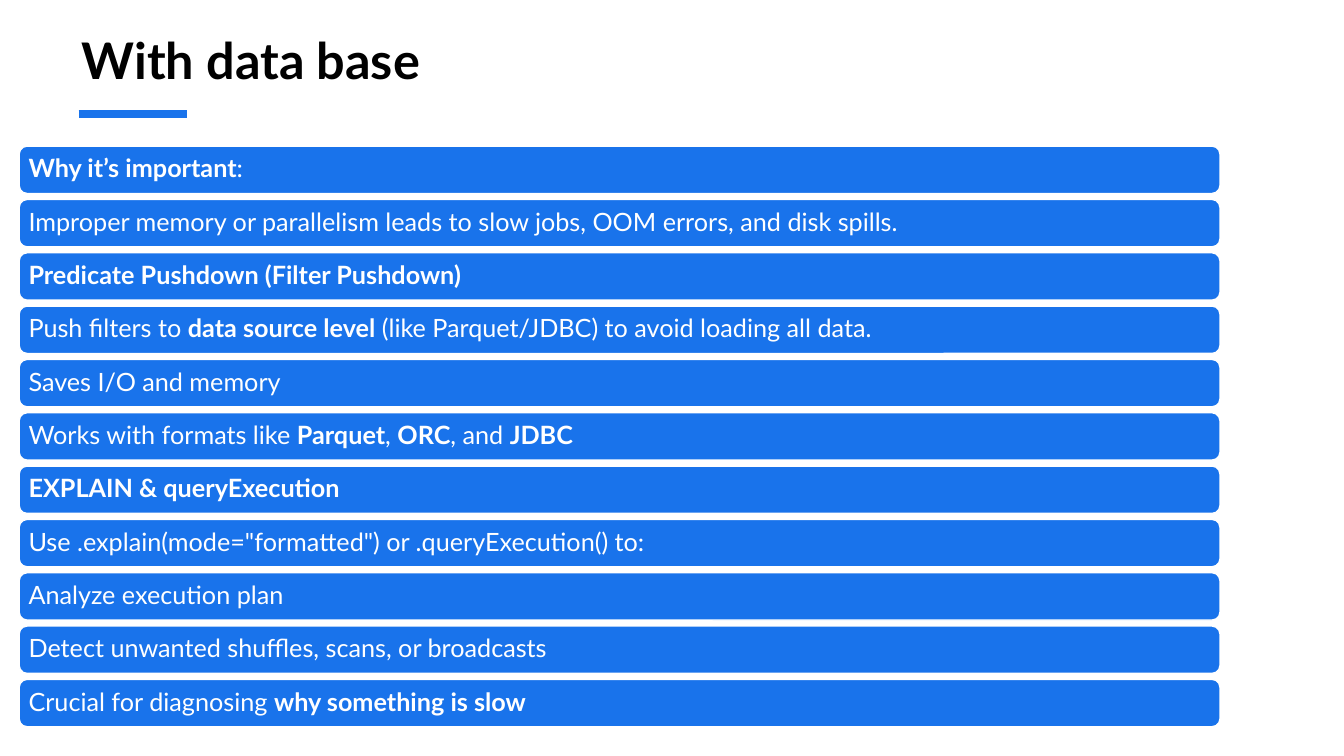
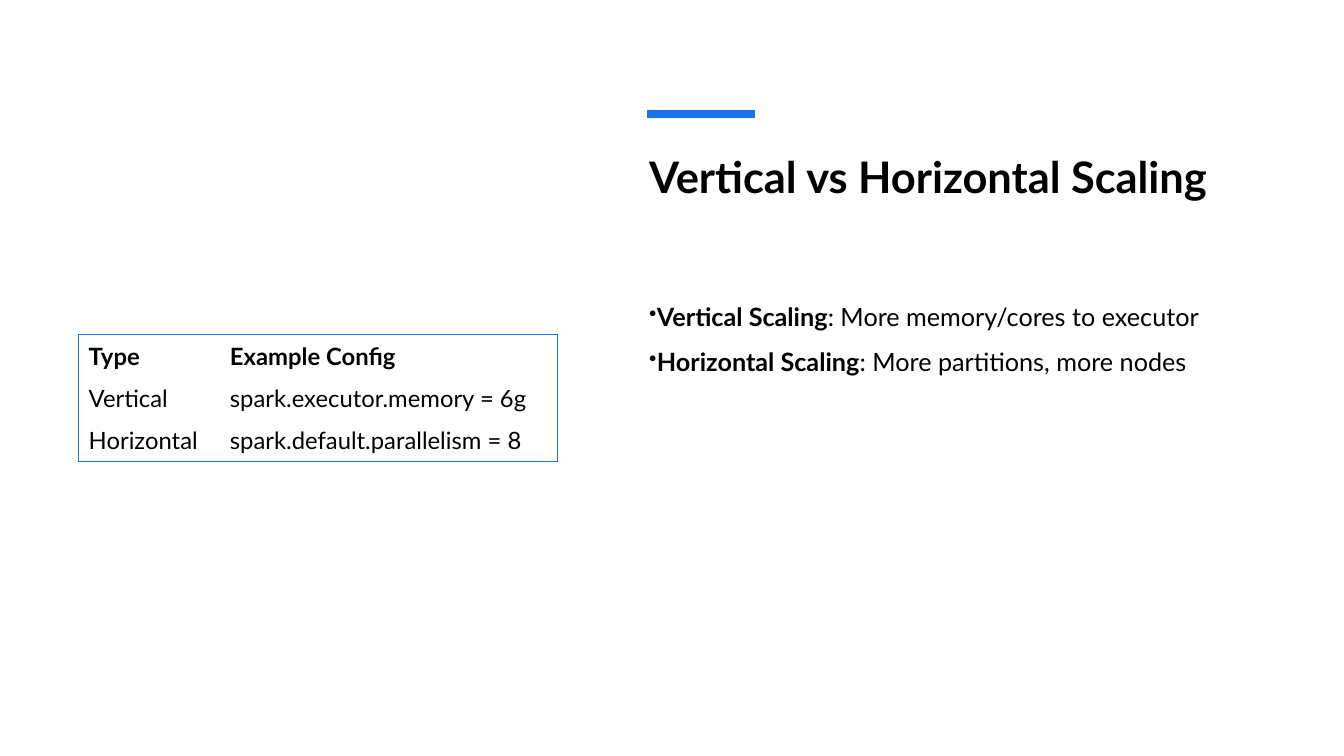
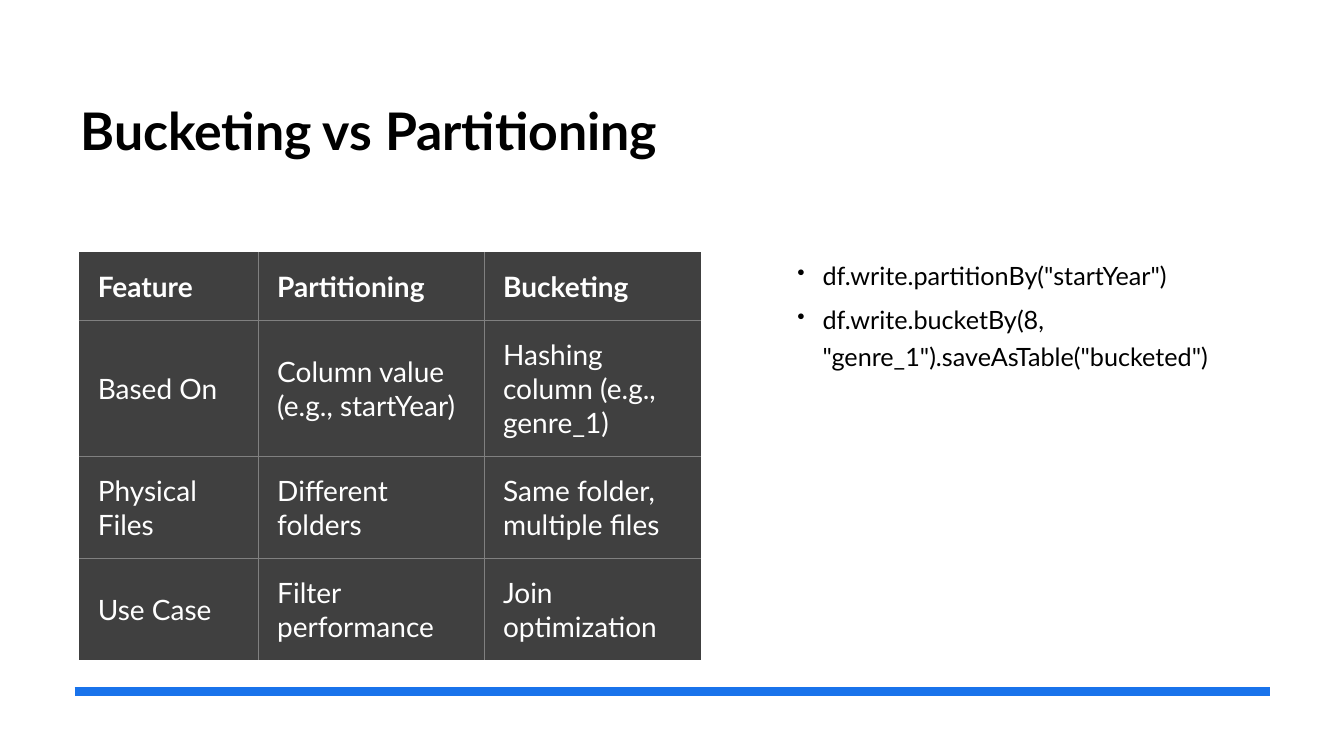
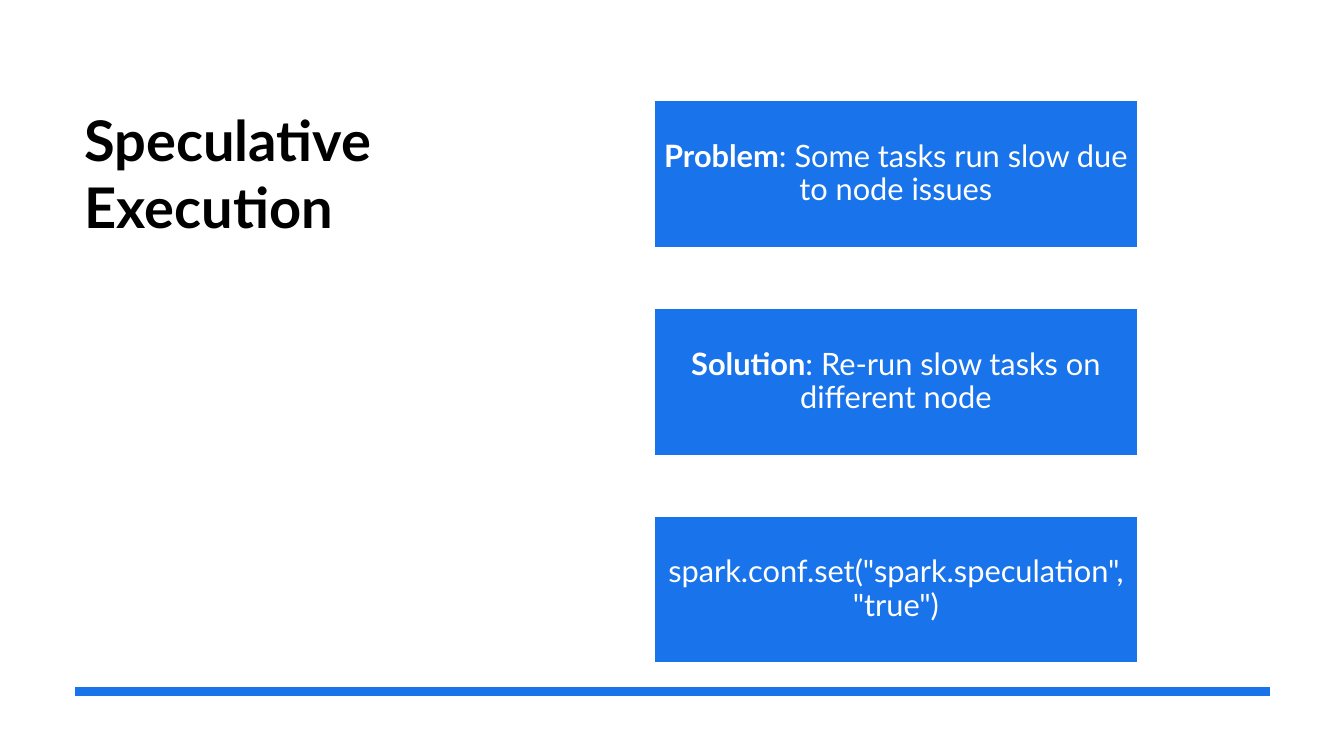
from lxml import etree
from pptx import Presentation
from pptx.dml.color import RGBColor
from pptx.enum.shapes import MSO_CONNECTOR, MSO_SHAPE
from pptx.enum.text import MSO_ANCHOR, PP_ALIGN
from pptx.oxml.ns import qn
from pptx.util import Emu, Pt

SCALE = 9144
FONT = "Lato"
BLUE, WHITE, BLACK = "1973EB", "FFFFFF", "000000"
CHARCOAL, GREY = "404040", "808080"
STRAIGHT = MSO_CONNECTOR.STRAIGHT
RECTANGLE, ROUNDED = MSO_SHAPE.RECTANGLE, MSO_SHAPE.ROUNDED_RECTANGLE
TOP, MIDDLE = MSO_ANCHOR.TOP, MSO_ANCHOR.MIDDLE
LEFT, CENTER = PP_ALIGN.LEFT, PP_ALIGN.CENTER
PLAIN_TABLE = "{2D5ABB26-0587-4C30-8999-92F81FD0307C}"
MARGINS = ("margin_left", "margin_top", "margin_right", "margin_bottom")

REASONS = [
    "**Why it’s important**:",
    "Improper memory or parallelism leads to slow jobs, OOM errors, and disk spills.",
    "**Predicate Pushdown (Filter Pushdown)**",
    "Push filters to **data source level** (like Parquet/JDBC) to avoid loading all data.",
    "Saves I/O and memory",
    "Works with formats like **Parquet**, **ORC**, and **JDBC**",
    "**EXPLAIN & queryExecution**",
    'Use .explain(mode="formatted") or .queryExecution() to:',
    "Analyze execution plan",
    "Detect unwanted shuffles, scans, or broadcasts",
    "Crucial for diagnosing **why something is slow**",
]
SCALING_POINTS = [
    "**Vertical Scaling**: More memory/cores to executor",
    "**Horizontal Scaling**: More partitions, more nodes",
]
SCALING_ROWS = [
    ["**Type**", "**Example Config**"],
    ["Vertical", "spark.executor.memory = 6g"],
    ["Horizontal", "spark.default.parallelism = 8"],
]
WRITE_CALLS = [
    'df.write.partitionBy("startYear")',
    'df.write.bucketBy(8, "genre_1").saveAsTable("bucketed")',
]
LAYOUT_ROWS = [
    ["**Feature**", "**Partitioning**", "**Bucketing**"],
    ["Based On", "Column value (e.g., startYear)", "Hashing column (e.g., genre_1)"],
    ["Physical Files", "Different folders", "Same folder, multiple files"],
    ["Use Case", "Filter performance", "Join optimization"],
]
SPECULATION = [
    "**Problem**: Some tasks run slow due to node issues",
    "**Solution**: Re-run slow tasks on different node",
    'spark.conf.set("spark.speculation", "true")',
]


def px(*lengths):
    """Turn px lengths into a list of EMU."""
    return [Emu(round(length * SCALE)) for length in lengths]


def color(code):
    """Turn a hex string into a colour."""
    return RGBColor.from_string(code)


def apply(target, formats):
    """Set each attribute named in formats."""
    for name, value in formats.items():
        setattr(target, name, value)


def inset(target, margins):
    """Set the left, top, right and bottom margins of a frame or cell."""
    apply(target, dict(zip(MARGINS, px(*margins))))


def write(para, text, size, ink, **formats):
    """Fill a paragraph, with the parts between double stars in bold."""
    apply(para, formats)
    for index, part in enumerate(text.split("**")):
        if part:
            span = para.add_run()
            span.text = part
            apply(span.font, {"name": FONT, "size": Pt(size), "bold": index % 2 == 1})
            span.font.color.rgb = color(ink)


def add_text_box(page, box):
    """Add a wrapping text box and return its frame."""
    frame = page.shapes.add_textbox(*px(*box)).text_frame
    apply(frame, {"word_wrap": True, "vertical_anchor": TOP})
    inset(frame, (10, 5, 10, 5))
    return frame


def add_title(page, box, text, size, spacing=1.0):
    """Add a bold slide title."""
    frame = add_text_box(page, box)
    write(frame.paragraphs[0], f"**{text}**", size, BLACK, line_spacing=spacing)


def add_rule(page, left, top, width):
    """Add a thick blue horizontal rule."""
    rule = page.shapes.add_connector(STRAIGHT, *px(left, top, left + width, top))
    rule.line.width = Pt(6)
    rule.line.color.rgb = color(BLUE)
    etree.SubElement(rule.element.spPr, qn("a:effectLst"))


def add_accent(page, left):
    """Add the short rule that marks a title."""
    add_rule(page, left, 113, 107)


def add_footer(page):
    """Add the wide rule at the foot of a slide."""
    add_rule(page, 74, 686, 1186)


def add_bullets(page, box, points, margin=0, hanging=0):
    """Add a bulleted list."""
    frame = add_text_box(page, box)
    for index, point in enumerate(points):
        para = frame.add_paragraph() if index else frame.paragraphs[0]
        write(para, point, 18, BLACK, line_spacing=1.2, space_after=Pt(6))
        properties = para._p.get_or_add_pPr()
        for name, value in zip(("marL", "indent"), px(margin, -hanging)):
            properties.set(name, str(value))
        etree.SubElement(properties, qn("a:buSzPct"), val="87000")
        etree.SubElement(properties, qn("a:buChar"), char="•")


def add_stack(page, box, texts, kind, height, size, margin, align):
    """Spread equal blue panels from the top to the bottom of a box."""
    left, top, width, total = box
    pitch = (total - height) / (len(texts) - 1)
    for index, text in enumerate(texts):
        panel = page.shapes.add_shape(kind, *px(left, top + index * pitch, width, height))
        panel.shadow.inherit = False
        panel.fill.solid()
        panel.fill.fore_color.rgb = color(BLUE)
        panel.line.color.rgb = color(WHITE)
        panel.line.width = Pt(1)
        frame = panel.text_frame
        apply(frame, {"word_wrap": True, "vertical_anchor": MIDDLE})
        inset(frame, [margin] * 4)
        write(frame.paragraphs[0], text, size, WHITE, line_spacing=0.9, alignment=align)


def add_borders(cell, sides, ink):
    """Draw thin lines on the sides that are switched on."""
    properties = cell._tc.get_or_add_tcPr()
    shown = [side for side in "LRTB" if sides[side]]
    for index, side in enumerate(shown):
        line = etree.Element(qn(f"a:ln{side}"), w=str(Pt(0.5)))
        fill = etree.SubElement(line, qn("a:solidFill"))
        etree.SubElement(fill, qn("a:srgbClr"), val=ink)
        properties.insert(index, line)


def add_grid(page, corner, widths, heights, rows, size, ink, margins, border, outer, fill=None):
    """Add a table with lines around it (outer) or between its cells."""
    box = px(*corner, sum(widths), sum(heights))
    holder = page.shapes.add_table(len(rows), len(widths), *box)
    holder.element.find(f".//{qn('a:tableStyleId')}").text = PLAIN_TABLE
    table = holder.table
    apply(table, {"first_row": False, "horz_banding": False})
    for column, width in zip(table.columns, px(*widths)):
        column.width = width
    for row, height in zip(table.rows, px(*heights)):
        row.height = height
    for down, texts in enumerate(rows):
        for across, text in enumerate(texts):
            cell = table.cell(down, across)
            cell.vertical_anchor = MIDDLE
            inset(cell, margins)
            if fill:
                cell.fill.solid()
                cell.fill.fore_color.rgb = color(fill)
            else:
                cell.fill.background()
            edges = {"L": across == 0, "R": across == len(widths) - 1,
                     "T": down == 0, "B": down == len(rows) - 1}
            add_borders(cell, {side: edge == outer for side, edge in edges.items()}, border)
            write(cell.text_frame.paragraphs[0], text, size, ink)


def build_database(page):
    """Build the slide of stacked reasons."""
    add_accent(page, 78)
    add_title(page, (71, 24, 1191, 120), "With data base", 36)
    add_stack(page, (19, 145, 1191, 576), REASONS, ROUNDED, 47, 18, 7, LEFT)


def build_scaling(page):
    """Build the slide on the two ways of scaling."""
    add_title(page, (634, 150, 627, 120), "Vertical vs Horizontal Scaling", 31, 0.9)
    add_accent(page, 642)
    add_bullets(page, (634, 288, 628, 401), SCALING_POINTS)
    add_grid(page, (78, 332), (140, 335), [42] * 3, SCALING_ROWS, 17, BLACK,
             (10, 5, 10, 5), BLUE, True)


def build_bucketing(page):
    """Build the slide that compares bucketing and partitioning."""
    add_title(page, (70, 100, 1186, 128), "Bucketing vs Partitioning", 37, 0.9)
    add_bullets(page, (756, 247, 499, 411), WRITE_CALLS, 50, 25)
    add_footer(page)
    add_grid(page, (78, 250), (178, 224, 215), (68, 135, 101, 101), LAYOUT_ROWS, 20, WHITE,
             (19, 14, 17, 14), GREY, False, CHARCOAL)


def build_speculation(page):
    """Build the slide on speculative execution."""
    add_title(page, (74, 100, 402, 455), "Speculative Execution", 40)
    add_footer(page)
    add_stack(page, (649, 100, 479, 558), SPECULATION, RECTANGLE, 146, 22, 2, CENTER)


def main():
    """Build and save the deck."""
    deck = Presentation()
    deck.slide_width, deck.slide_height = px(1333, 750)
    for build in (build_database, build_scaling, build_bucketing, build_speculation):
        build(deck.slides.add_slide(deck.slide_layouts[6]))
    deck.save("out.pptx")


if __name__ == "__main__":
    main()
